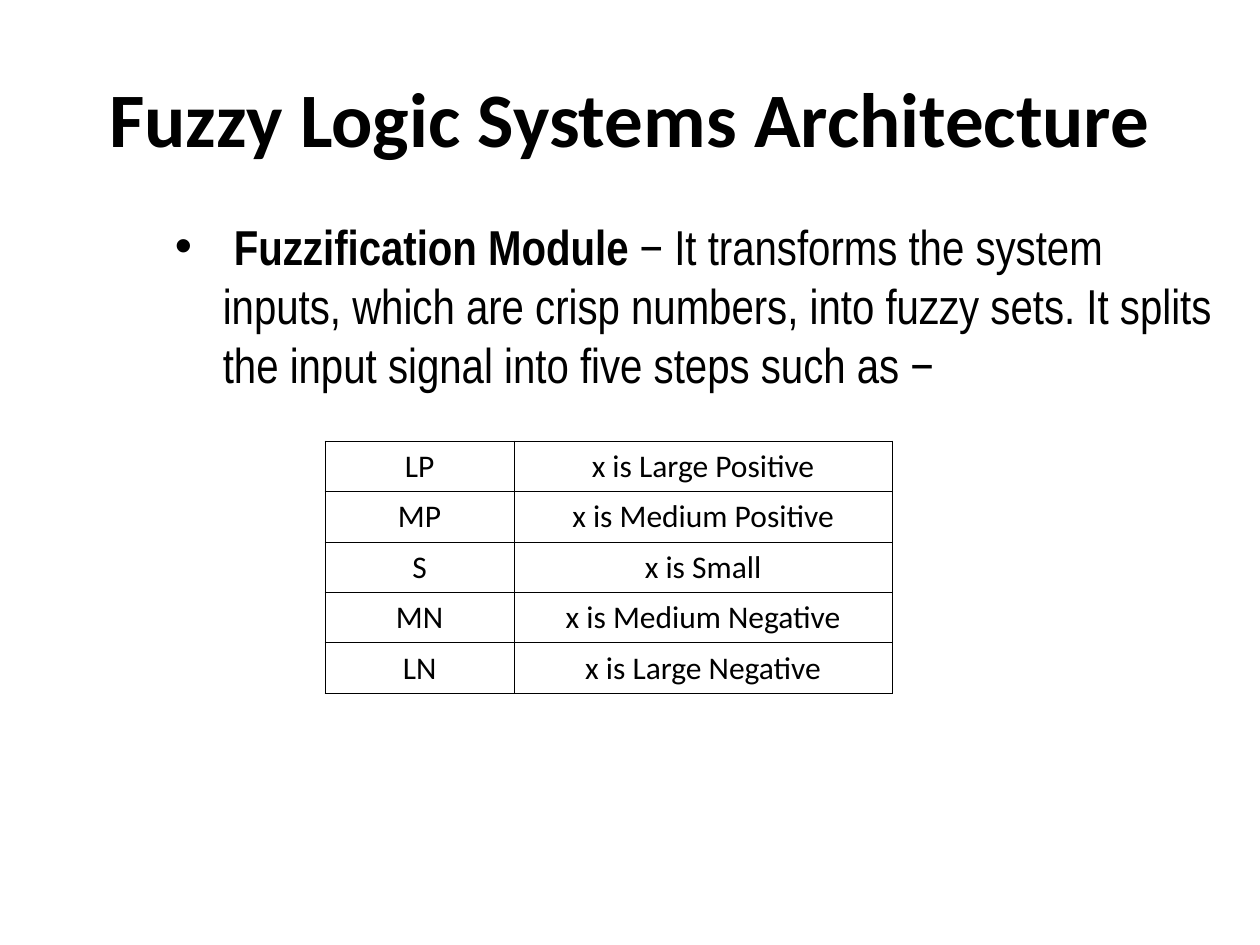
from dataclasses import dataclass

import pptx
import pptx.dml.color
import pptx.enum.text
import pptx.oxml.ns
import pptx.oxml.xmlchemy
import pptx.util
from lxml import etree
from pptx.util import Inches

COLORS = {"text": "000000", "border": "000000"}
qn = pptx.oxml.ns.qn
PP_ALIGN = pptx.enum.text.PP_ALIGN
MSO_ANCHOR = pptx.enum.text.MSO_ANCHOR


@dataclass
class TextStyle:
    font: str
    size: float
    bold: bool = False


@dataclass
class Level:
    symbol: str
    meaning: str


TITLE = TextStyle("Calibri", 44, True)
BODY = TextStyle("Arial Narrow", 28)
BODY_BOLD = TextStyle("Arial Narrow", 28, True)
CELL = TextStyle("Calibri", 18)

LEVELS = [
    Level("LP", "x is Large Positive"),
    Level("MP", "x is Medium Positive"),
    Level("S", "x is Small"),
    Level("MN", "x is Medium Negative"),
    Level("LN", "x is Large Negative"),
]
COL_WIDTHS = (1.5, 3)
ROW_HEIGHT = 0.4


def format_run(r, style: TextStyle) -> None:
    r.font.name = style.font
    r.font.size = pptx.util.Pt(style.size)
    r.font.bold = style.bold
    r.font.color.rgb = pptx.dml.color.RGBColor.from_string(COLORS["text"])


def add_bullet(p, indent: float) -> None:
    pPr = p._p.get_or_add_pPr()
    pPr.set("marL", str(Inches(indent)))
    pPr.set("indent", str(-Inches(indent)))
    color = etree.SubElement(pPr, qn("a:buClr"))
    etree.SubElement(color, qn("a:srgbClr"), val=COLORS["text"])
    etree.SubElement(pPr, qn("a:buFont"), typeface="Arial")
    etree.SubElement(pPr, qn("a:buChar"), char="•")


def add_borders(cell, width: float) -> None:
    tcPr = cell._tc.get_or_add_tcPr()
    for side in ("lnL", "lnR", "lnT", "lnB"):
        ln = etree.SubElement(tcPr, qn(f"a:{side}"), w=str(pptx.util.Pt(width)))
        fill = etree.SubElement(ln, qn("a:solidFill"))
        etree.SubElement(fill, qn("a:srgbClr"), val=COLORS["border"])


def fill_cell(cell, text: str) -> None:
    add_borders(cell, 0.45)
    cell.fill.background()
    cell.vertical_anchor = MSO_ANCHOR.MIDDLE
    p = cell.text_frame.paragraphs[0]
    p.text = text
    p.alignment = PP_ALIGN.CENTER
    format_run(p.runs[0], CELL)


def add_level_table(s, left: float, top: float, levels: list[Level]) -> None:
    table = s.shapes.add_table(
        len(levels), len(COL_WIDTHS), Inches(left), Inches(top),
        Inches(sum(COL_WIDTHS)), Inches(ROW_HEIGHT * len(levels))).table
    table.first_row = table.horz_banding = False
    for column, width in zip(table.columns, COL_WIDTHS):
        column.width = Inches(width)
    for row, level in zip(table.rows, levels):
        row.height = Inches(ROW_HEIGHT)
        for cell, text in zip(row.cells, (level.symbol, level.meaning)):
            fill_cell(cell, text)


def main() -> None:
    prs = pptx.Presentation()
    prs.slide_width, prs.slide_height = Inches(10), Inches(7.5)
    s = prs.slides.add_slide(prs.slide_layouts[5])

    # Title
    title = s.shapes.title
    title.left, title.top = Inches(0.5), Inches(0.3)
    title.width, title.height = Inches(9), Inches(1.25)
    tf = title.text_frame
    tf.text = "Fuzzy Logic Systems Architecture"
    tf.vertical_anchor = MSO_ANCHOR.MIDDLE
    tf.paragraphs[0].alignment = PP_ALIGN.CENTER
    format_run(tf.paragraphs[0].runs[0], TITLE)

    # Description of the module
    body = s.shapes.add_textbox(Inches(1.29), Inches(1.67), Inches(8.5), Inches(5.42))
    body.text_frame.word_wrap = True
    p = body.text_frame.paragraphs[0]
    p.space_before = pptx.util.Pt(7)
    add_bullet(p, 0.38)
    for text, style in (
        (" ", BODY),
        ("Fuzzification Module ", BODY_BOLD),
        ("− It transforms the system inputs, which are crisp numbers, into fuzzy sets. "
         "It splits the input signal into five steps such as −", BODY),
    ):
        r = p.add_run()
        r.text = text
        format_run(r, style)

    # Table of the five steps
    add_level_table(s, 2.58, 3.5, LEVELS)

    prs.save("out.pptx")


if __name__ == "__main__":
    main()
